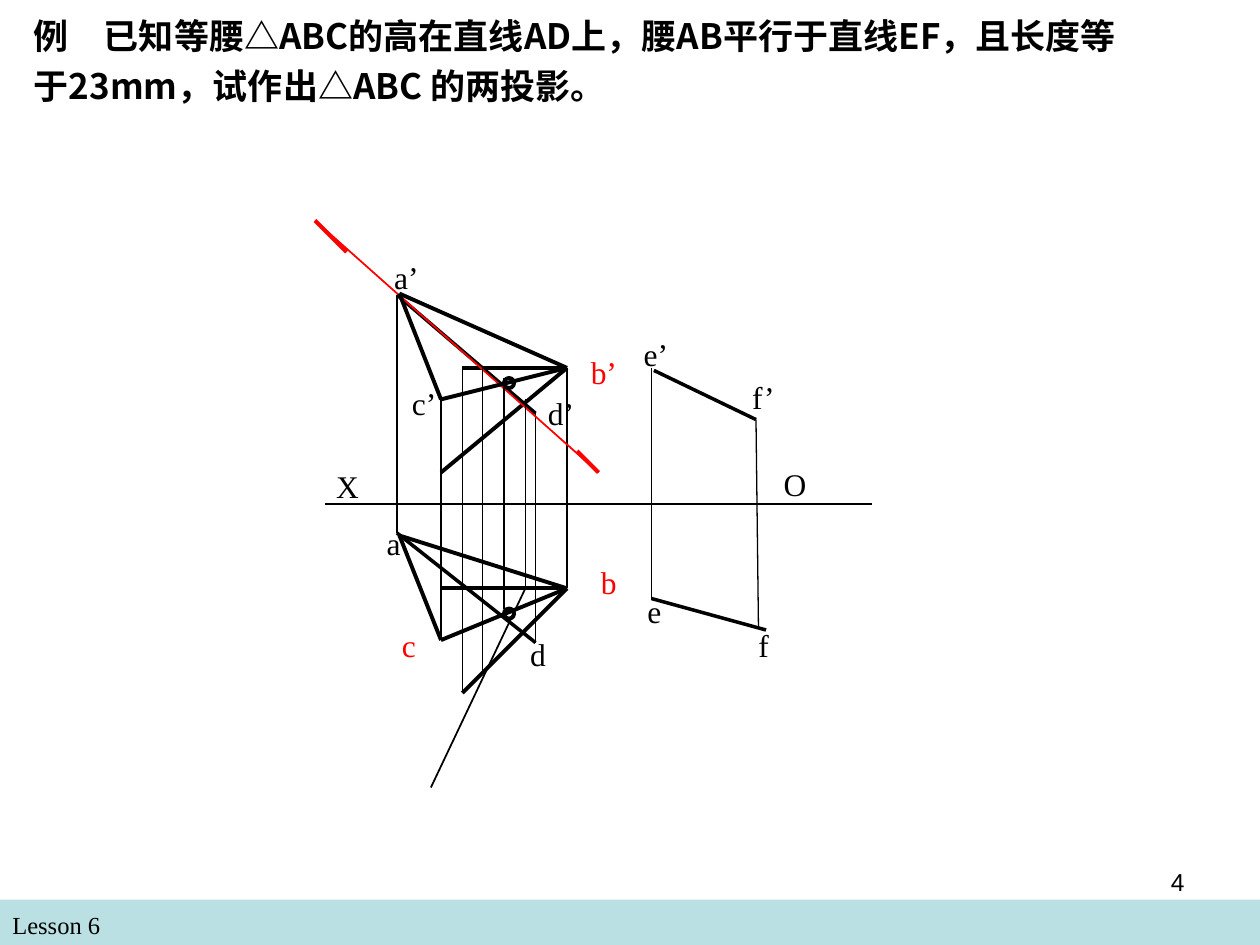
"""Build the slide that draws triangle ABC in two projections."""
from typing import NamedTuple

from lxml.etree import SubElement
from pptx import Presentation
from pptx.dml.color import RGBColor
from pptx.enum.shapes import MSO_CONNECTOR, MSO_SHAPE
from pptx.enum.text import MSO_AUTO_SIZE, PP_ALIGN
from pptx.oxml.ns import qn
from pptx.util import Cm, Length, Pt

BLACK = RGBColor(0, 0, 0)
RED = RGBColor(255, 0, 0)
TEAL = RGBColor(0xBB, 0xE0, 0xE3)
SERIF = "Times New Roman"
HAN = "Noto Sans CJK SC"
THIN, FINE, BOLD, HEAVY = 0.75, 1, 2, 2.25
DOT = 0.08
PRIME = 0.42


class Point(NamedTuple):
    x: float
    y: float


class Line(NamedTuple):
    start: Point
    end: Point
    width: float = HEAVY
    color: RGBColor = BLACK


class Label(NamedTuple):
    text: str
    x: float
    y: float
    width: float
    height: float = 0.4
    color: RGBColor = BLACK
    size: float = 18
    face: str = SERIF
    bold: bool = False
    wrap: bool = False
    fit: bool = True
    align: PP_ALIGN = PP_ALIGN.LEFT
    space: float = 1.0


A_TOP, A_LOW = Point(3.17, 2.33), Point(3.17, 4.25)
B_TOP, B_LOW = Point(4.5, 2.92), Point(4.5, 4.67)
C_TOP, C_LOW = Point(3.5, 3.17), Point(3.5, 5.08)
D_TOP, D_LOW = Point(4.25, 3.28), Point(4.25, 5.1)
AD_TOP, AD_LOW = Point(3.15, 2.34), Point(3.15, 4.23)
E_TOP, E_LOW = Point(5.17, 2.92), Point(5.17, 4.75)
F_TOP, F_LOW = Point(6, 3.33), Point(6.02, 4.99)
M_TOP, M_LOW = Point(4, 3), Point(4, 4.83)
CROSS, SIDE = Point(4.17, 4.67), Point(3.5, 3.75)
CUT, FOOT = Point(3.67, 2.92), Point(3.67, 5.5)
HEAD, TAIL = Point(2.5, 1.75), Point(4.75, 3.75)

LINES = [
    Line(Point(2.58, 4), Point(6.92, 4), THIN),
    Line(F_TOP, Point(5.19, 2.94), BOLD),
    Line(E_TOP, E_LOW, THIN),
    Line(E_LOW, Point(6.08, 5), BOLD),
    Line(F_LOW, F_TOP, THIN),
    Line(AD_TOP, D_TOP, BOLD),
    Line(AD_TOP, AD_LOW, THIN),
    Line(D_TOP, D_LOW, THIN),
    Line(AD_LOW, D_LOW, BOLD),
    Line(A_LOW, B_LOW),
    Line(A_TOP, B_TOP),
    Line(B_TOP, B_LOW, FINE),
    Line(B_TOP, CUT),
    Line(B_LOW, Point(3.5, 4.67)),
    Line(B_TOP, SIDE),
    Line(B_LOW, FOOT),
    Line(SIDE, Point(3.5, 4.67), FINE),
    Line(FOOT, CUT, FINE),
    Line(HEAD, TAIL, FINE, RED),
    Line(Point(4.58, 3.58), TAIL, HEAVY, RED),
    Line(Point(2.75, 2), HEAD, HEAVY, RED),
    Line(Point(3.83, 2.92), Point(3.83, 5.33), FINE),
    Line(Point(4.17, 3.17), CROSS, FINE),
    Line(CROSS, Point(3.42, 6.25), FINE),
    Line(M_LOW, M_TOP, FINE),
    Line(B_LOW, C_LOW),
    Line(B_TOP, C_TOP),
    Line(A_TOP, C_TOP),
    Line(C_TOP, C_LOW, FINE),
    Line(A_LOW, C_LOW),
]

LABELS = [
    Label("Lesson 6", 0, 7.17, 4.83, 0.34, size=14, wrap=True),
    Label("例　已知等腰△ABC的高在直线AD上，腰AB平行于直线EF，且长度等于23mm，试作出△ABC 的两投影。",
          0.17, 0, 8.89, 0.9, size=20, face=HAN, bold=True, wrap=True, space=1.2),
    Label("X", 2.57, 3.66, 0.38),
    Label("O", 6.12, 3.64, 0.38),
    Label("a’", 3.03, 2, PRIME),
    Label("d’", 4.25, 3.08, PRIME),
    Label("a", 2.97, 4.11, 0.31),
    Label("d", 4.11, 4.99, 0.32),
    Label("e’", 5.01, 2.61, PRIME),
    Label("f’", 5.87, 2.95, PRIME),
    Label("e", 5.04, 4.65, 0.31),
    Label("f", 5.92, 4.92, 0.28),
    Label("b", 4.67, 4.42, 0.32, color=RED),
    Label("b’", 4.59, 2.75, PRIME, color=RED),
    Label("c’", 3.17, 3, PRIME),
    Label("c", 3.09, 4.92, 0.31, color=RED),
    Label("4", 7.17, 6.83, 2.33, 0.52, size=14, face="Arial",
          wrap=True, fit=False, align=PP_ALIGN.RIGHT),
]


def span(inch: float) -> Length:
    """Turn inches into a length."""
    return Cm(inch * 2.54)


def apply(item, form: dict) -> None:
    """Set each format value on the item."""
    for key, value in form.items():
        setattr(item, key, value)


def draw_line(shapes, line: Line) -> None:
    """Draw one straight line."""
    ends = [span(n) for n in (*line.start, *line.end)]
    link = shapes.add_connector(MSO_CONNECTOR.STRAIGHT, *ends)
    link.line.color.rgb = line.color
    link.line.width = Pt(line.width)
    SubElement(link._element.spPr, qn("a:effectLst"))


def draw_dot(shapes, spot: Point) -> None:
    """Draw one open ring."""
    ring = shapes.add_shape(MSO_SHAPE.OVAL, *map(span, (*spot, DOT, DOT)))
    ring.shadow.inherit = False
    ring.fill.background()
    ring.line.color.rgb = BLACK
    ring.line.width = Pt(HEAVY)


def draw_band(shapes) -> None:
    """Draw the footer band."""
    band = shapes.add_shape(MSO_SHAPE.RECTANGLE, *map(span, (0, 7.14, 10, 0.36)))
    band.shadow.inherit = False
    band.fill.solid()
    band.fill.fore_color.rgb = TEAL
    band.line.fill.background()


def draw_label(shapes, label: Label) -> None:
    """Draw one text box."""
    box = shapes.add_textbox(*map(span, label[1:5]))
    fit = MSO_AUTO_SIZE.SHAPE_TO_FIT_TEXT if label.fit else MSO_AUTO_SIZE.NONE
    apply(box.text_frame, {"word_wrap": label.wrap, "auto_size": fit})
    para = box.text_frame.paragraphs[0]
    apply(para, {"alignment": label.align, "line_spacing": label.space})
    run = para.add_run()
    run.text = label.text
    apply(run.font, {"name": label.face, "size": Pt(label.size), "bold": label.bold})
    run.font.color.rgb = label.color
    SubElement(run.font._element, qn("a:ea"), typeface=label.face)


def main() -> None:
    """Build and save the slide."""
    deck = Presentation()
    apply(deck, {"slide_width": span(10), "slide_height": span(7.5)})
    shapes = deck.slides.add_slide(deck.slide_layouts[6]).shapes
    draw_band(shapes)
    for line in LINES:
        draw_line(shapes, line)
    for spot in (M_LOW, M_TOP):
        draw_dot(shapes, spot)
    for label in LABELS:
        draw_label(shapes, label)
    deck.save("out.pptx")


if __name__ == "__main__":
    main()
